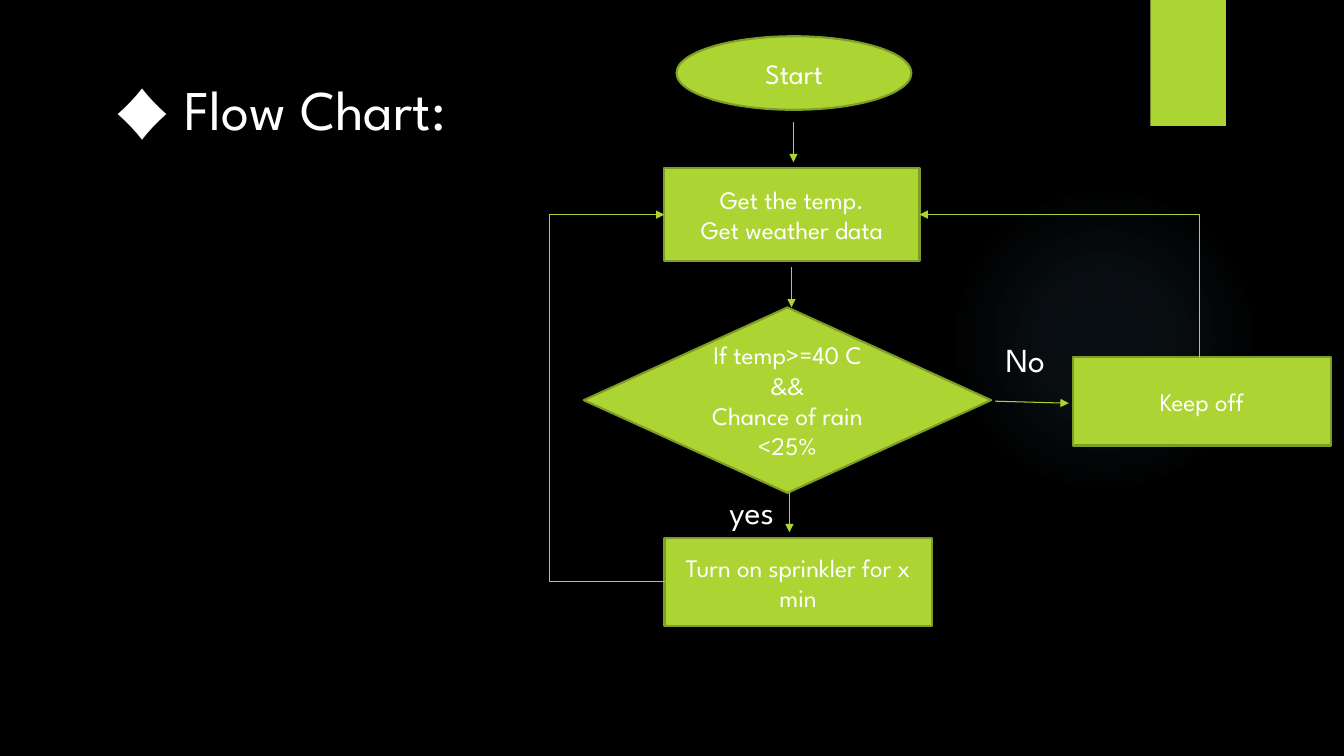
from lxml import etree
from pptx import Presentation
from pptx import util as u
from pptx.dml.color import RGBColor
from pptx.enum import shapes, text
from pptx.oxml import parse_xml
from pptx.oxml.ns import qn

HUES = {"back": "000000", "lime": "ACD433", "edge": "7F9D26", "ink": "FFFFFF", "glow": "7AC4F0"}
FONT = "League Spartan"
KIND = shapes.MSO_SHAPE
BEND = shapes.MSO_CONNECTOR


def hue(name):
    return RGBColor.from_string(HUES[name])


def write(frame, lines, size, align):
    for i, line in enumerate(lines):
        para = frame.paragraphs[0] if i == 0 else frame.add_paragraph()
        para.alignment = align
        run = para.add_run()
        run.text = line
        run.font.size = u.Pt(size)
        run.font.name = FONT
        run.font.color.rgb = hue("ink")


deck = Presentation()
deck.slide_width, deck.slide_height = u.Inches(13.33), u.Inches(7.5)
slide = deck.slides.add_slide(deck.slide_layouts[6])
slide.background.fill.solid()
slide.background.fill.fore_color.rgb = hue("back")

glow = slide.shapes.add_shape(KIND.OVAL, *map(u.Inches, (9.41, 1.83, 3.08, 3.08)))
glow.shadow.inherit = False
glow.line.fill.background()
stops = "".join(
    f'<a:gs pos="{pos * 1000}"><a:srgbClr val="{HUES["glow"]}"><a:alpha val="{alpha * 1000}"/></a:srgbClr></a:gs>'
    for pos, alpha in [(0, 7), (36, 6), (69, 0)]
)
fade = parse_xml(
    '<a:gradFill xmlns:a="http://schemas.openxmlformats.org/drawingml/2006/main">'
    f'<a:gsLst>{stops}</a:gsLst><a:path path="circle">'
    '<a:fillToRect l="50000" t="50000" r="50000" b="50000"/></a:path></a:gradFill>'
)
glow.element.spPr.find(qn("a:prstGeom")).addnext(fade)

tab = slide.shapes.add_shape(KIND.RECTANGLE, *map(u.Inches, (11.41, 0, 0.75, 1.25)))
tab.shadow.inherit = False
tab.fill.solid()
tab.fill.fore_color.rgb = hue("lime")
tab.line.fill.background()

steps = [
    (KIND.OVAL, (6.71, 0.36, 2.33, 0.73), 20, ["Start"]),
    (KIND.RECTANGLE, (6.59, 1.67, 2.53, 0.92), 18, ["Get the temp.", "Get weather data"]),
    (KIND.DIAMOND, (5.79, 3.05, 4.04, 1.84), 18, ["If temp>=40 C", "&&", "Chance of rain <25%"]),
    (KIND.RECTANGLE, (10.64, 3.54, 2.56, 0.88), 18, ["Keep off"]),
    (KIND.RECTANGLE, (6.59, 5.34, 2.65, 0.87), 18, ["Turn on sprinkler for x min"]),
]
for kind, place, size, lines in steps:
    step = slide.shapes.add_shape(kind, *map(u.Inches, place))
    step.shadow.inherit = False
    step.fill.solid()
    step.fill.fore_color.rgb = hue("lime")
    step.line.color.rgb = hue("edge")
    step.line.width = u.Pt(1.5)
    step.text_frame.vertical_anchor = text.MSO_ANCHOR.MIDDLE
    write(step.text_frame, lines, size, text.PP_ALIGN.CENTER)

labels = [
    ((1.04, 0.69, 3.71, 0.77), 40, "♦ Flow Chart:", text.PP_ALIGN.LEFT),
    ((7.09, 4.82, 0.73, 0.5), 24, "yes", text.PP_ALIGN.CENTER),
    ((9.83, 3.31, 0.76, 0.5), 24, "No ", text.PP_ALIGN.CENTER),
]
for place, size, words, align in labels:
    label = slide.shapes.add_textbox(*map(u.Inches, place))
    label.text_frame.word_wrap = False
    write(label.text_frame, [words], size, align)

arrows = [
    ((7.87, 1.21, 7.87, 1.61), None),
    ((7.85, 2.65, 7.85, 3.05), None),
    ((9.87, 3.98, 10.6, 4), None),
    ((7.83, 4.88, 7.83, 5.28), None),
    ((6.6, 5.77, 6.59, 2.13), 5.43),
    ((11.63, 3.56, 9.12, 2.13), 11.9),
]
for ends, turn in arrows:
    kind = BEND.ELBOW if turn else BEND.STRAIGHT
    arrow = slide.shapes.add_connector(kind, *map(u.Inches, ends))
    arrow.line.color.rgb = hue("lime")
    arrow.line.width = u.Pt(0.75)
    etree.SubElement(arrow.line._get_or_add_ln(), qn("a:tailEnd"), type="triangle")
    props = arrow.element.spPr
    etree.SubElement(props, qn("a:effectLst"))
    if turn:
        ratio = round((turn - ends[0]) / (ends[2] - ends[0]) * 100000)
        guides = props.find(qn("a:prstGeom")).get_or_add_avLst()
        etree.SubElement(guides, qn("a:gd"), name="adj1", fmla=f"val {ratio}")

deck.save("out.pptx")
